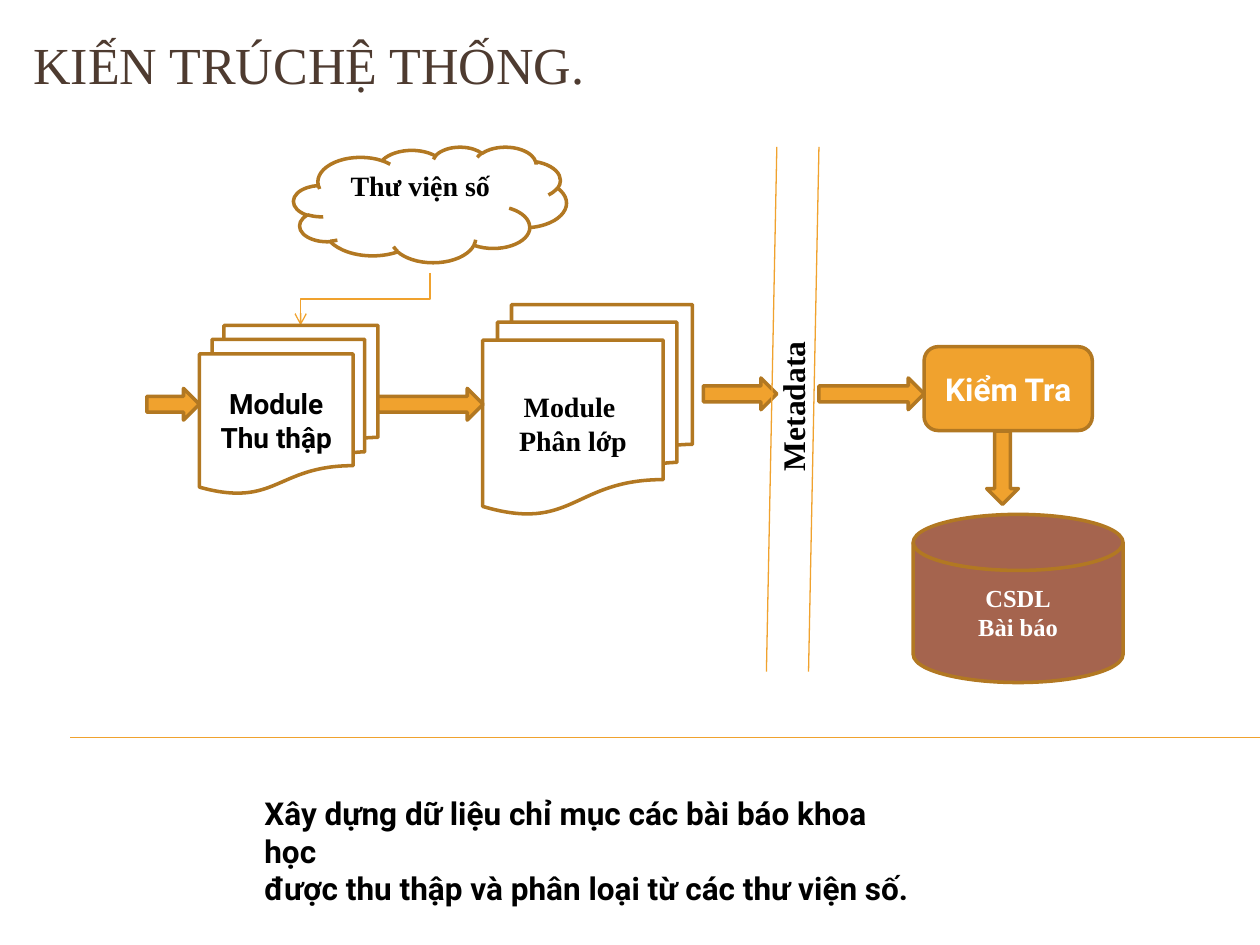
from lxml import etree
from pptx import Presentation
from pptx.dml.color import RGBColor
from pptx.enum.shapes import MSO_CONNECTOR, MSO_SHAPE
from pptx.enum.text import MSO_ANCHOR, PP_ALIGN
from pptx.oxml.ns import qn
from pptx.util import Cm, Pt

ORANGE, BRONZE, BROWN = "F0A22E", "B27822", "A5644E"
BLACK, WHITE, TITLE_BROWN = "000000", "FFFFFF", "4E3B30"
SERIF, SANS = "Times New Roman", "Roboto"


def color(value):
    """Return the colour for a hex string."""
    return RGBColor.from_string(value)


def write(shape, text, size, font, ink, bold=True, align=PP_ALIGN.LEFT, anchor=MSO_ANCHOR.TOP):
    """Put formatted text into a shape, one paragraph per line."""
    frame = shape.text_frame
    frame.word_wrap = True
    frame.vertical_anchor = anchor
    frame.text = text
    for paragraph in frame.paragraphs:
        paragraph.alignment = align
        for run in paragraph.runs:
            run.font.size = Pt(size)
            run.font.name = font
            run.font.bold = bold
            run.font.color.rgb = color(ink)
    return frame


def add_text(slide, box, text, size, font, ink, bold=True):
    """Add a text box and return it."""
    shape = slide.shapes.add_textbox(*map(Cm, box))
    write(shape, text, size, font, ink, bold)
    return shape


def add_node(slide, kind, box, fill=None):
    """Add a bronze-outlined preset shape."""
    shape = slide.shapes.add_shape(kind, *map(Cm, box))
    shape.shadow.inherit = False
    if fill:
        shape.fill.solid()
        shape.fill.fore_color.rgb = color(fill)
    else:
        shape.fill.background()
    shape.line.color.rgb = color(BRONZE)
    shape.line.width = Pt(2)
    return shape


def add_labelled_node(slide, kind, box, text, size, font, ink, fill=None):
    """Add a preset shape with centred text."""
    shape = add_node(slide, kind, box, fill)
    write(shape, text, size, font, ink, align=PP_ALIGN.CENTER, anchor=MSO_ANCHOR.MIDDLE)
    return shape


def add_arrow(slide, left, top, width, rotation=0):
    """Add an orange block arrow."""
    arrow = add_node(slide, MSO_SHAPE.RIGHT_ARROW, (left, top, width, 0.64), ORANGE)
    arrow.rotation = rotation


def add_line(slide, start, end, kind=MSO_CONNECTOR.STRAIGHT):
    """Add a thin orange connector without shadow."""
    line = slide.shapes.add_connector(kind, *map(Cm, (*start, *end)))
    line.line.color.rgb = color(ORANGE)
    line.line.width = Pt(0.75)
    etree.SubElement(line._element.spPr, qn("a:effectLst"))
    return line


def add_drop_connector(slide, start, end):
    """Add an elbow arrow that leaves downwards and turns left to its end."""
    middle_x, middle_y = (start[0] + end[0]) / 2, (start[1] + end[1]) / 2
    half_width, half_height = (end[1] - start[1]) / 2, (start[0] - end[0]) / 2
    line = add_line(
        slide,
        (middle_x - half_width, middle_y - half_height),
        (middle_x + half_width, middle_y + half_height),
        MSO_CONNECTOR.ELBOW,
    )
    properties = line._element.spPr
    properties.find(qn("a:xfrm")).set("rot", str(90 * 60000))
    etree.SubElement(properties.find(qn("a:ln")), qn("a:tailEnd"), type="arrow")


def build_title(slide, left, top, width, height):
    """Place the slide title."""
    title = add_text(slide, (left, top, width, height), "KIẾN TRÚCHỆ THỐNG.", 29.7, SERIF, TITLE_BROWN, False)
    title.text_frame.margin_top = Cm(0.25)
    title.text_frame.paragraphs[0].line_spacing = 0.8


def build_collection(slide, left, top):
    """Place the digital library and the two processing modules."""
    cloud = add_node(slide, MSO_SHAPE.CLOUD, (left + 2.96, top, 5.5, 2.33))
    frame = write(cloud, "Thư viện số", 16, SERIF, BLACK, align=PP_ALIGN.CENTER)
    frame.margin_top = Cm(0.09)
    add_drop_connector(slide, (left + 5.71, top + 2.54), (left + 3.1, top + 3.6))
    modules = (
        ((left + 1.06, top + 3.6, 3.6, 3.39), "Module Thu thập", SANS),
        ((left + 6.77, top + 3.18, 4.23, 4.23), "Module \nPhân lớp", SERIF),
    )
    for box, text, font in modules:
        add_labelled_node(slide, MSO_SHAPE.FLOWCHART_MULTIDOCUMENT, box, text, 16, font, BLACK)
    for x, y, width in ((0, 4.87, 1.06), (4.66, 4.87, 2.12), (11.22, 4.66, 1.48)):
        add_arrow(slide, left + x, top + y, width)


def build_metadata_lane(slide, left, top, width, height):
    """Place two slanted lines with a vertical label between them."""
    slant, label_width, label_height = 0.21, 6.99, 1.02
    for right in (left + slant, left + width):
        add_line(slide, (right, top), (right - slant, top + height))
    label_box = (left + (width - label_width) / 2, top + 2.78, label_width, label_height)
    label = add_text(slide, label_box, "Metadata", 18, SERIF, BLACK)
    label.rotation = 270


def build_storage(slide, left, top):
    """Place the check step and the article database."""
    add_labelled_node(slide, MSO_SHAPE.FLOWCHART_ALTERNATE_PROCESS, (left + 2.12, top, 3.39, 1.69),
                      "Kiểm Tra", 18, SANS, WHITE, ORANGE)
    add_labelled_node(slide, MSO_SHAPE.FLOWCHART_MAGNETIC_DISK, (left + 1.9, top + 3.38, 4.23, 3.39),
                      "CSDL\nBài báo", 14, SERIF, WHITE, BROWN)
    add_arrow(slide, left, top + 0.63, 2.12)
    add_arrow(slide, left + 2.96, top + 2.12, 1.48, 90)


def build_caption(slide, left, top, width, height):
    """Place the summary under the diagram."""
    text = "Xây dựng dữ liệu chỉ mục các bài báo khoa học\nđược thu thập và phân loại từ các thư viện số."
    add_text(slide, (left, top, width, height), text, 18, SANS, BLACK)


def main():
    """Build the slide and save it."""
    presentation = Presentation()
    presentation.slide_width, presentation.slide_height = Cm(25.4), Cm(19.05)
    slide = presentation.slides.add_slide(presentation.slide_layouts[6])
    add_line(slide, (1.42, 14.86), (25.4, 14.86))
    build_collection(slide, 2.96, 2.96)
    build_metadata_lane(slide, 15.45, 2.96, 1.06, 10.58)
    build_storage(slide, 16.51, 6.99)
    build_caption(slide, 5.08, 15.88, 13.69, 1.8)
    build_title(slide, 0.42, 0.64, 24.13, 2.33)
    presentation.save("out.pptx")


if __name__ == "__main__":
    main()
